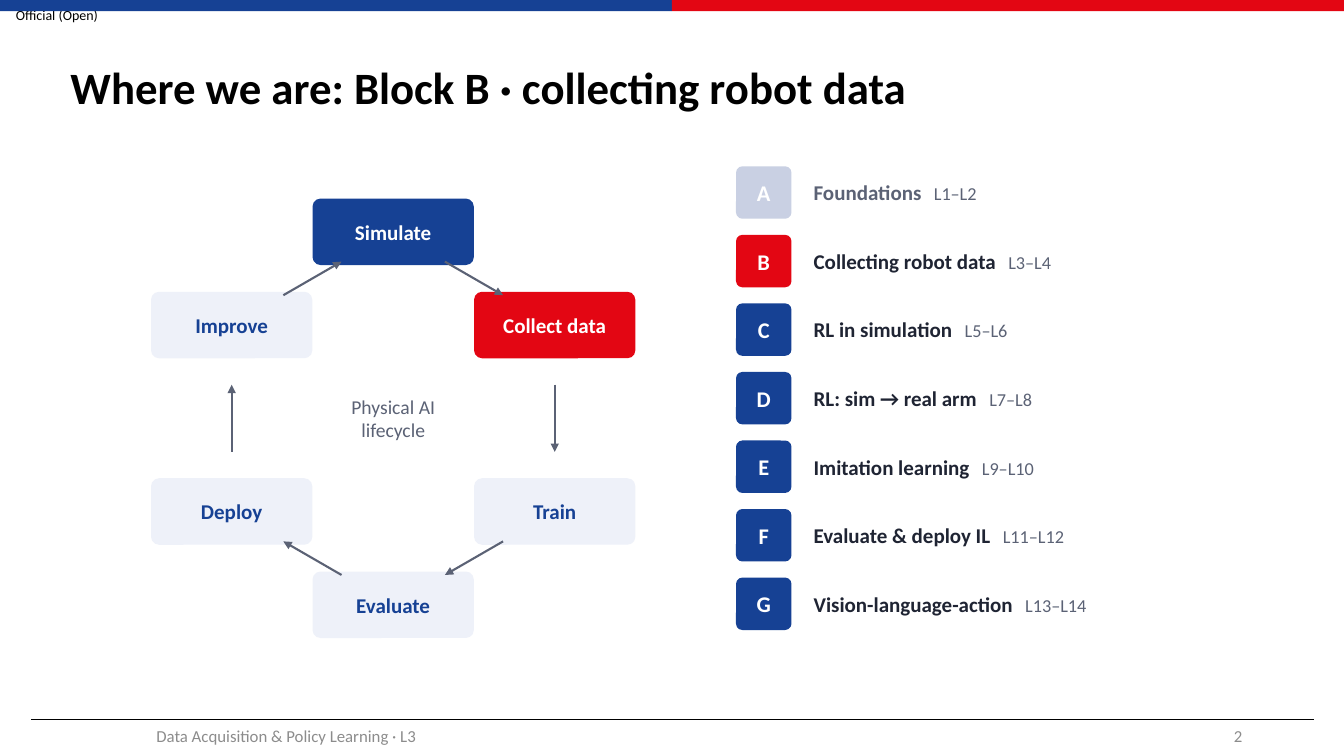
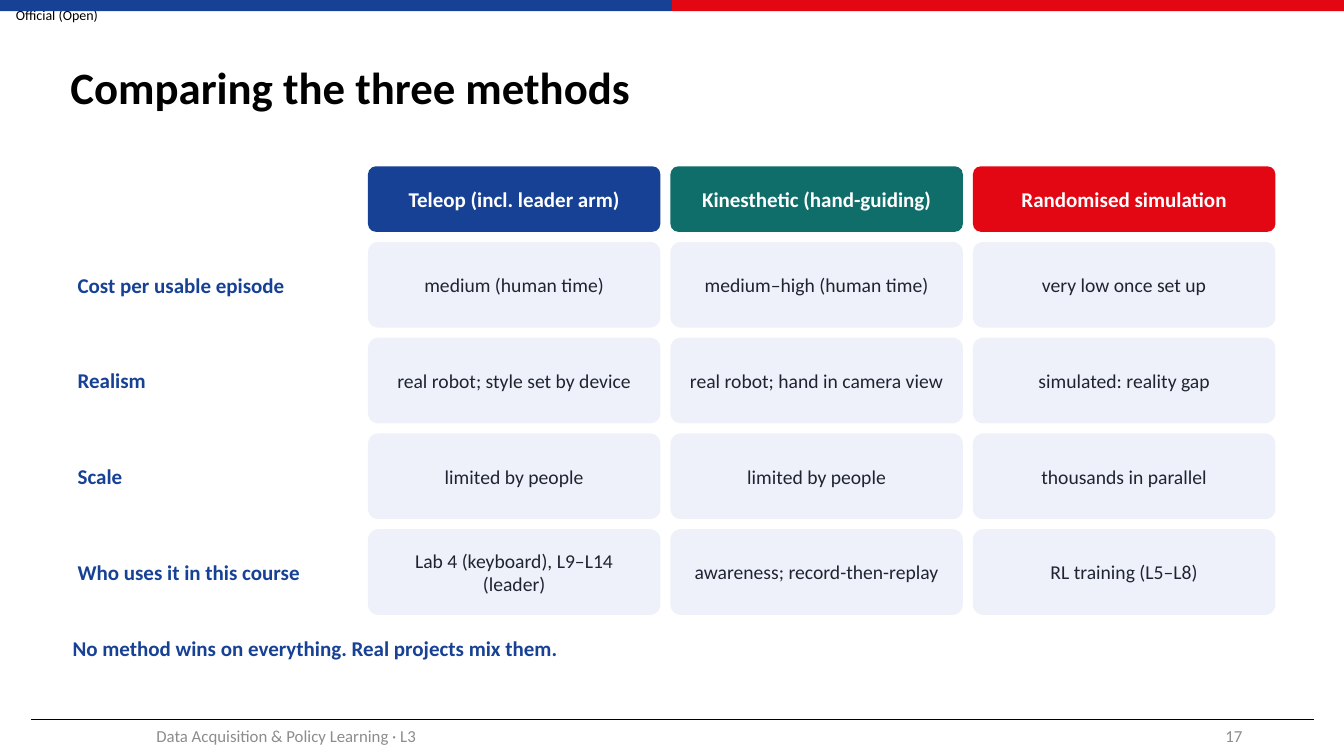
from math import cos, radians, sin

from lxml.etree import SubElement
from pptx import Presentation
from pptx.dml.color import RGBColor
from pptx.enum.shapes import MSO_CONNECTOR as Connector, MSO_SHAPE as Shape
from pptx.enum.text import MSO_ANCHOR as Anchor, PP_ALIGN as Align
from pptx.oxml.ns import qn
from pptx.util import Pt

PX = 9144  # EMU per px, 100 px to the inch
SLIDE_W, SLIDE_H = 1333, 750
FONT = "Calibri"

BLACK = RGBColor(0x00, 0x00, 0x00)
WHITE = RGBColor(0xFF, 0xFF, 0xFF)
BLUE = RGBColor(0x16, 0x41, 0x94)
RED = RGBColor(0xE3, 0x06, 0x13)
TEAL = RGBColor(0x0F, 0x6E, 0x6A)
PALE = RGBColor(0xEE, 0xF1, 0xF9)
FADED = RGBColor(0xC9, 0xD0, 0xE3)
INK = RGBColor(0x1F, 0x24, 0x33)
SLATE = RGBColor(0x5B, 0x62, 0x75)
GREY = RGBColor(0x8C, 0x8C, 0x8C)

COURSE = "Data Acquisition & Policy Learning · L3"
CARD_INSETS = (12, 6)
BAR_INSETS = (10, 5)

STAGES = [
    ("Simulate", BLUE, WHITE),
    ("Collect data", RED, WHITE),
    ("Train", PALE, BLUE),
    ("Evaluate", PALE, BLUE),
    ("Deploy", PALE, BLUE),
    ("Improve", PALE, BLUE),
]
BLOCKS = [
    ("A", "Foundations", "L1–L2"),
    ("B", "Collecting robot data", "L3–L4"),
    ("C", "RL in simulation", "L5–L6"),
    ("D", "RL: sim → real arm", "L7–L8"),
    ("E", "Imitation learning", "L9–L10"),
    ("F", "Evaluate & deploy IL", "L11–L12"),
    ("G", "Vision-language-action", "L13–L14"),
]
BLOCK_COLOURS = {"A": (FADED, SLATE), "B": (RED, INK)}

METHODS = [
    ("Teleop (incl. leader arm)", BLUE),
    ("Kinesthetic (hand-guiding)", TEAL),
    ("Randomised simulation", RED),
]
CRITERIA = [
    ("Cost per usable episode",
     ["medium (human time)", "medium–high (human time)", "very low once set up"]),
    ("Realism",
     ["real robot; style set by device", "real robot; hand in camera view",
      "simulated: reality gap"]),
    ("Scale",
     ["limited by people", "limited by people", "thousands in parallel"]),
    ("Who uses it in this course",
     ["Lab 4 (keyboard), L9–L14 (leader)", "awareness; record-then-replay",
      "RL training (L5–L8)"]),
]


def emu(*lengths):
    return [round(length * PX) for length in lengths]


def add_run(paragraph, text, size, colour, bold=False):
    run = paragraph.add_run()
    run.text = text
    run.font.name = FONT
    run.font.size = Pt(size)
    run.font.bold = bold
    run.font.color.rgb = colour
    return run


def set_frame(holder, insets, anchor=Anchor.MIDDLE):
    frame = holder.text_frame
    frame.word_wrap = True
    frame.vertical_anchor = anchor
    across, down = emu(*insets)
    frame.margin_left = frame.margin_right = across
    frame.margin_top = frame.margin_bottom = down
    return frame


def add_label(slide, box, text, size, colour, bold=False, align=Align.LEFT,
              insets=CARD_INSETS, anchor=Anchor.MIDDLE):
    """Place one line of plain text and return its paragraph."""
    frame = set_frame(slide.shapes.add_textbox(*emu(*box)), insets, anchor)
    paragraph = frame.paragraphs[0]
    paragraph.alignment = align
    add_run(paragraph, text, size, colour, bold)
    return paragraph


def add_block(slide, kind, box, fill):
    block = slide.shapes.add_shape(kind, *emu(*box))
    block.shadow.inherit = False
    block.fill.solid()
    block.fill.fore_color.rgb = fill
    block.line.fill.background()
    return block


def add_card(slide, box, fill, text, size, colour, bold=True):
    """Place a rounded card with centred text."""
    card = add_block(slide, Shape.ROUNDED_RECTANGLE, box, fill)
    card.adjustments[0] = 0.12
    paragraph = set_frame(card, CARD_INSETS).paragraphs[0]
    paragraph.alignment = Align.CENTER
    add_run(paragraph, text, size, colour, bold)


def add_line(slide, start, end, colour, weight, arrow=False):
    line = slide.shapes.add_connector(Connector.STRAIGHT, *emu(*start, *end))
    line.line.color.rgb = colour
    line.line.width = Pt(weight)
    if arrow:
        SubElement(line.line._get_or_add_ln(), qn("a:tailEnd"), type="triangle")
    SubElement(line._element.spPr, qn("a:effectLst"))


def add_base(deck, title, number):
    """Add a slide with the shared bands, title and footer."""
    slide = deck.slides.add_slide(deck.slide_layouts[6])
    add_label(slide, (0, 0, 113, 29), "Official (Open)", 10, BLACK,
              align=Align.CENTER, insets=(0, 0))
    half = SLIDE_W / 2
    for left, colour in ((0, BLUE), (half, RED)):
        add_block(slide, Shape.RECTANGLE, (left, 0, half, 11), colour)
    add_line(slide, (31, 714), (1303, 714), BLACK, 0.5)
    heading = add_label(slide, (60, 30, 1208, 118), title, 32, BLACK, bold=True,
                        insets=BAR_INSETS)
    heading.line_spacing = 0.9
    add_label(slide, (59, 710, 450, 40), COURSE, 12, GREY,
              align=Align.CENTER, insets=BAR_INSETS)
    add_label(slide, (942, 710, 300, 40), str(number), 12, GREY,
              align=Align.RIGHT, insets=BAR_INSETS)
    return slide


def add_lifecycle(slide, box):
    """Set the stages on a circle, joined clockwise by arrows."""
    left, top, width, height = box
    stage_w, stage_h = 160, 66
    radius = (height - stage_h) / 2
    mid_x, mid_y = left + width / 2, top + height / 2
    step = 360 / len(STAGES)
    angles = [radians(step * index) for index in range(len(STAGES))]
    centres = [(mid_x + radius * sin(a), mid_y - radius * cos(a)) for a in angles]

    for (x, y), (name, fill, colour) in zip(centres, STAGES):
        card_box = (x - stage_w / 2, y - stage_h / 2, stage_w, stage_h)
        add_card(slide, card_box, fill, name, 15, colour)

    trim = 0.32  # share of each centre-to-centre line left free at either end
    for (x1, y1), (x2, y2) in zip(centres, centres[1:] + centres[:1]):
        dx, dy = (x2 - x1) * trim, (y2 - y1) * trim
        add_line(slide, (x1 + dx, y1 + dy), (x2 - dx, y2 - dy), SLATE, 1.5, arrow=True)

    caption = set_frame(
        slide.shapes.add_textbox(*emu(mid_x - 110, mid_y - 35, 220, 70)), CARD_INSETS)
    for index, words in enumerate(("Physical AI", "lifecycle")):
        paragraph = caption.add_paragraph() if index else caption.paragraphs[0]
        paragraph.alignment = Align.CENTER
        add_run(paragraph, words, 14, SLATE)


def add_block_list(slide, box):
    left, top, width, pitch = box
    for index, (letter, topic, lessons) in enumerate(BLOCKS):
        y = top + index * pitch
        fill, colour = BLOCK_COLOURS.get(letter, (BLUE, INK))
        add_card(slide, (left, y, 55, 52), fill, letter, 16, WHITE)
        entry = add_label(slide, (left + 65, y - 2, width - 65, 56), topic, 15,
                          colour, bold=True)
        gap = add_run(entry, " ", 13, SLATE)
        gap.font._element.set("spc", "590")  # widens the gap before the lessons
        add_run(entry, lessons, 13, SLATE)


def add_comparison(slide, box):
    """Lay out method headings above one row of cards per criterion."""
    left, top, width, _ = box
    gap, column_w, head_h, row_h = 10, 290, 65, 85
    pitch = column_w + gap
    columns = [(left + pitch * (i + 1), column_w) for i in range(len(METHODS))]
    last_x = columns[-1][0]
    columns[-1] = (last_x, left + width - last_x)

    for (x, w), (method, fill) in zip(columns, METHODS):
        add_card(slide, (x, top, w, head_h), fill, method, 15, WHITE)
    for index, (criterion, findings) in enumerate(CRITERIA):
        y = top + head_h + gap + index * (row_h + gap)
        add_label(slide, (left, y, column_w, row_h), criterion, 15, BLUE, bold=True)
        for (x, w), finding in zip(columns, findings):
            add_card(slide, (x, y, w, row_h), PALE, finding, 14, INK, bold=False)


def add_overview_slide(deck):
    slide = add_base(deck, "Where we are: Block B · collecting robot data", 2)
    add_lifecycle(slide, (150, 197, 480, 436))
    add_block_list(slide, (730, 165, 525, 68))


def add_comparison_slide(deck):
    slide = add_base(deck, "Comparing the three methods", 17)
    add_comparison(slide, (65, 165, 1200, 445))
    add_label(slide, (60, 625, 1210, 40),
              "No method wins on everything. Real projects mix them.",
              15, BLUE, bold=True, anchor=Anchor.TOP)


def main():
    deck = Presentation()
    deck.slide_width, deck.slide_height = emu(SLIDE_W, SLIDE_H)
    add_overview_slide(deck)
    add_comparison_slide(deck)
    deck.save("out.pptx")


if __name__ == "__main__":
    main()
